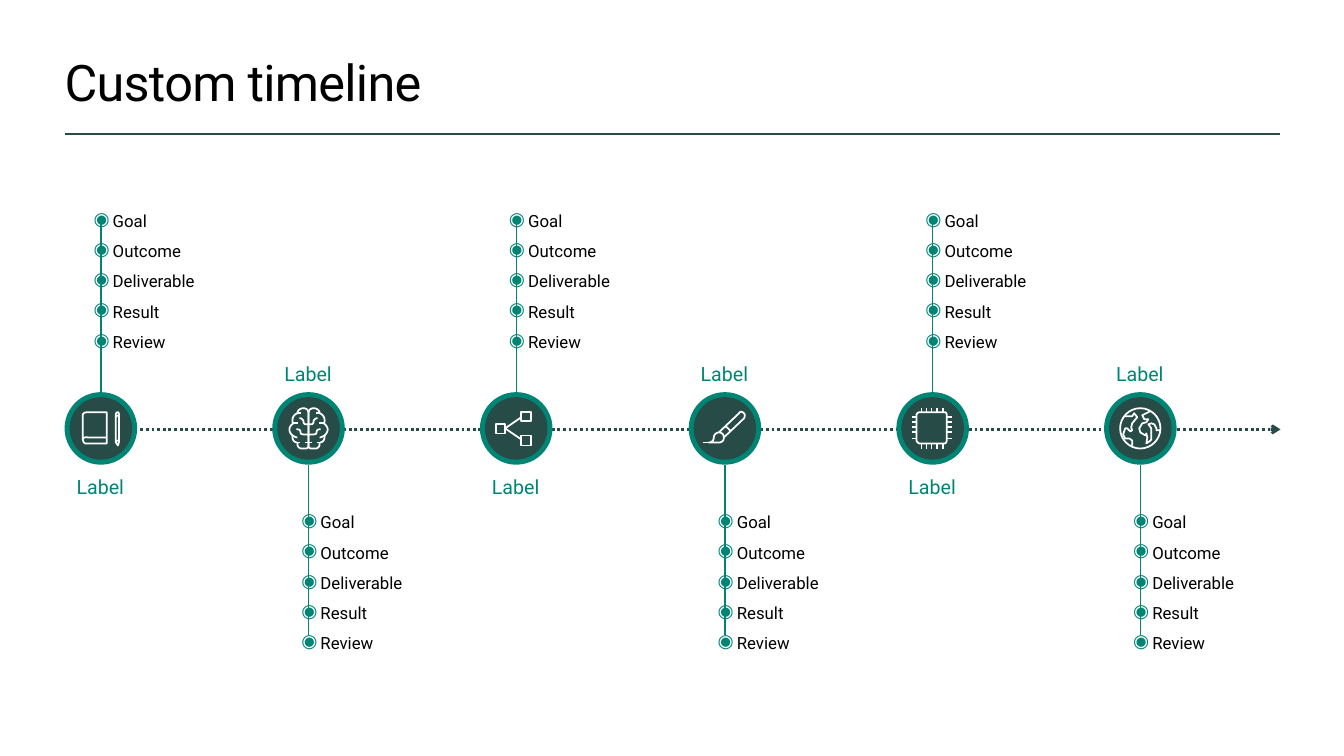
from lxml.etree import SubElement
from pptx import Presentation
from pptx.dml.color import RGBColor
from pptx.enum.dml import MSO_LINE
from pptx.enum.shapes import MSO_CONNECTOR, MSO_SHAPE
from pptx.enum.text import MSO_ANCHOR, PP_ALIGN
from pptx.oxml.ns import qn
from pptx.util import Pt

PX = 9144  # 100 px to the inch
TEAL, PINE, WHITE, BLACK = "008575", "274B47", "FFFFFF", "000000"
FONT = "Roboto"
NODE_SIZE, NODE_TOP = 72, 389
FIRST_LEFT, NODE_STEP = 64, 206.2
DETAILS = ["Goal", "Outcome", "Deliverable", "Result", "Review"]


def mirrored(strokes):
    """Return the strokes flipped about the vertical axis of a node."""
    flipped, is_x = [], True
    for token in strokes.split():
        if token.isalpha():
            flipped.append(token)
        else:
            flipped.append(str(NODE_SIZE - int(token)) if is_x else token)
            is_x = not is_x
    return " ".join(flipped)


# Strokes in px from the top left of a node: M move, L lines, C cubic, Z close
BOOK = ("M 42 20 L 42 51 21 51 C 21 51 18 51 18 45 L 18 23 C 18 23 18 20 23 20 Z "
        "M 42 45 L 23 45 C 23 45 19 44 18 47 "
        "M 53 53 L 54 50 54 22 C 54 22 54 20 53 20 C 51 20 51 22 51 22 L 51 50 Z "
        "M 54 24 C 52 22 51 25 51 25 M 54 49 C 53 47 51 49 51 49 ")
HALF_BRAIN = ("M 25 50 C 22 50 20 48 20 44 L 20 43 C 19 42 17 40 17 37 "
              "C 17 35 19 32 21 31 C 20 30 20 29 20 28 C 20 25 22 22 25 21 "
              "C 25 18 28 16 31 16 C 34 16 36 18 36 21 L 36 50 M 25 50 L 28 50 "
              "M 24 37 L 25 37 C 27 37 28 38 28 40 C 28 41 29 42 31 42 L 36 42 "
              "M 27 26 L 28 26 C 29 26 31 28 31 29 C 31 31 32 32 33 32 L 36 32 "
              "M 20 43 C 22 44 23 45 25 45 M 21 31 L 26 31 M 25 21 L 29 21 "
              "M 33 50 L 36 50 M 25 50 L 25 52 C 25 54 27 56 29 56 L 33 56 "
              "C 35 56 36 55 36 53 L 36 50 ")
BRAIN = HALF_BRAIN + mirrored(HALF_BRAIN)
NETWORK = ("M 41 20 L 51 20 51 29 41 29 Z M 41 53 L 51 53 51 43 41 43 Z "
           "M 16 41 L 25 41 25 32 16 32 Z M 41 25 L 25 36 41 47")
BRUSH = ("M 25 45 C 25 42 28 40 30 40 C 33 40 35 42 35 45 C 35 48 33 50 30 50 "
         "L 20 50 C 23 50 25 48 25 45 M 35 45 L 55 26 C 56 24 56 22 55 21 "
         "C 53 19 51 19 50 21 L 30 40 M 42 39 C 40 37 39 35 36 34 M 14 50 L 20 50")
CHIP = ("M 48 51 L 23 51 C 22 51 20 49 20 48 L 20 23 C 20 21 22 20 23 20 "
        "L 48 20 C 49 20 50 21 50 23 L 50 48 C 50 49 49 51 48 51 Z "
        + "".join(f"M {pin} 16 L {pin} 20 M {pin} 51 L {pin} 56 "
                  f"M 16 {pin} L 20 {pin} M 50 {pin} L 55 {pin} "
                  for pin in (25, 30, 35, 40, 46)))
GLOBE = ("M 16 36 C 16 25 25 16 36 16 C 47 16 56 25 56 36 "
         "C 56 47 47 56 36 56 C 25 56 16 47 16 36 Z "
         "M 27 54 L 28 52 28 48 25 46 21 46 19 42 21 36 23 36 26 39 28 38 "
         "27 35 28 31 33 25 30 21 28 24 20 24 "
         "M 46 19 L 38 23 40 27 44 27 42 30 38 31 35 36 36 40 41 43 42 41 "
         "43 45 42 51 45 49 47 47 47 36 44 32 47 31 50 32 52 36 52 38 56 38")
ICONS = [BOOK, BRAIN, NETWORK, BRUSH, CHIP, GLOBE]


def px(*lengths):
    return [round(length * PX) for length in lengths]


def color(hex_code):
    return RGBColor.from_string(hex_code)


def add_line(shapes, start, end, hex_code, width, dotted_arrow=False):
    line = shapes.add_connector(MSO_CONNECTOR.STRAIGHT, *px(*start, *end))
    line.line.color.rgb = color(hex_code)
    line.line.width = Pt(width)
    if dotted_arrow:
        line.line.dash_style = MSO_LINE.ROUND_DOT
        SubElement(line.line._get_or_add_ln(), qn("a:tailEnd"), type="arrow")
    SubElement(line._element.spPr, qn("a:effectLst"))


def add_disc(shapes, left, top, size, hex_code):
    disc = shapes.add_shape(MSO_SHAPE.OVAL, *px(left, top, size, size))
    disc.shadow.inherit = False
    disc.fill.solid()
    disc.fill.fore_color.rgb = color(hex_code)
    disc.line.fill.background()


def add_bullet(paragraph):
    properties = paragraph._p.get_or_add_pPr()
    indent = px(19)[0]
    properties.set("marL", str(indent))
    properties.set("indent", str(-indent))
    bullet_color = SubElement(properties, qn("a:buClr"))
    SubElement(bullet_color, qn("a:srgbClr"), val=TEAL)
    SubElement(properties, qn("a:buSzPct"), val="110000")
    SubElement(properties, qn("a:buChar"), char="◉")


def add_text(shapes, lines, box, *, size, hex_code=BLACK, align=PP_ALIGN.LEFT,
             anchor=MSO_ANCHOR.TOP, inset=(0, 0), spacing=None, tracking=None,
             bulleted=False, background=None):
    text_box = shapes.add_textbox(*px(*box))
    if background:
        text_box.fill.solid()
        text_box.fill.fore_color.rgb = color(background)
    frame = text_box.text_frame
    frame.word_wrap = True
    frame.vertical_anchor = anchor
    frame.margin_left = frame.margin_right = px(inset[0])[0]
    frame.margin_top = frame.margin_bottom = px(inset[1])[0]
    frame.text = "\n".join(lines)
    for paragraph in frame.paragraphs:
        paragraph.alignment = align
        paragraph.line_spacing = spacing
        if bulleted:
            add_bullet(paragraph)
        font = paragraph.runs[0].font
        font.name, font.size = FONT, Pt(size)
        font.color.rgb = color(hex_code)
        if tracking:
            font._element.set("spc", str(round(tracking * 100)))


def cubic(start, control_a, control_b, end, steps=8):
    """Return points along a Bezier curve, without its start."""
    points = []
    for step in range(1, steps + 1):
        t = step / steps
        weights = (1 - t) ** 3, 3 * t * (1 - t) ** 2, 3 * t * t * (1 - t), t ** 3
        points.append(tuple(sum(w * value for w, value in zip(weights, axis))
                            for axis in zip(start, control_a, control_b, end)))
    return points


def contours(strokes):
    """Turn a stroke string into (points, closed) pairs."""
    for stroke in strokes.split("M")[1:]:
        points, pending, command = [], [], "L"
        for token in stroke.replace("Z", "").split():
            if token.isalpha():
                command = token
                continue
            pending.append(int(token))
            if command == "L" and len(pending) == 2:
                points.append(tuple(pending))
                pending = []
            elif len(pending) == 6:
                points += cubic(points[-1], pending[:2], pending[2:4], pending[4:])
                pending = []
        yield points, "Z" in stroke


def add_icon(shapes, strokes, left, top):
    builder = None
    for points, closed in contours(strokes):
        vertices = [tuple(px(left + x, top + y)) for x, y in points]
        if builder is None:
            builder = shapes.build_freeform(*vertices[0], scale=1.0)
        else:
            builder.move_to(*vertices[0])
        builder.add_line_segments(vertices[1:], close=closed)
    icon = builder.convert_to_shape()
    icon.shadow.inherit = False
    icon.fill.background()
    icon.line.color.rgb = color(WHITE)
    icon.line.width = Pt(1.25)


def add_milestone(shapes, strokes, left, details_above):
    stem_x = left + 36
    stem, details_top, label_top, anchor = (
        ((390, 221), 194, 471, MSO_ANCHOR.TOP) if details_above
        else ((630, 461), 495, 359, MSO_ANCHOR.BOTTOM))
    add_line(shapes, (stem_x, stem[0]), (stem_x, stem[1]), TEAL, 1)
    add_text(shapes, DETAILS, (left + 19, details_top, 174, 158), size=12,
             anchor=anchor, inset=(10, 5), spacing=1.5, bulleted=True)
    node = shapes.add_group_shape().shapes
    add_disc(node, left, NODE_TOP, NODE_SIZE, TEAL)
    add_disc(node, left + 5, NODE_TOP + 5, NODE_SIZE - 10, PINE)
    add_icon(node, strokes, left, NODE_TOP)
    add_text(shapes, ["Label"], (left, label_top, 71, 24), size=14,
             hex_code=TEAL, align=PP_ALIGN.CENTER, background=WHITE)


def main():
    deck = Presentation()
    deck.slide_width, deck.slide_height = px(1333, 750)
    shapes = deck.slides.add_slide(deck.slide_layouts[6]).shapes
    add_text(shapes, ["Custom timeline"], (64, 50, 1205, 61), size=36,
             anchor=MSO_ANCHOR.MIDDLE, tracking=-0.5)
    add_line(shapes, (64, 133), (1270, 133), PINE, 2)
    add_line(shapes, (100, 426), (1270, 426), PINE, 2, dotted_arrow=True)
    for index, strokes in enumerate(ICONS):
        left = FIRST_LEFT + round(index * NODE_STEP)
        add_milestone(shapes, strokes, left, details_above=index % 2 == 0)
    deck.save("out.pptx")


if __name__ == "__main__":
    main()
